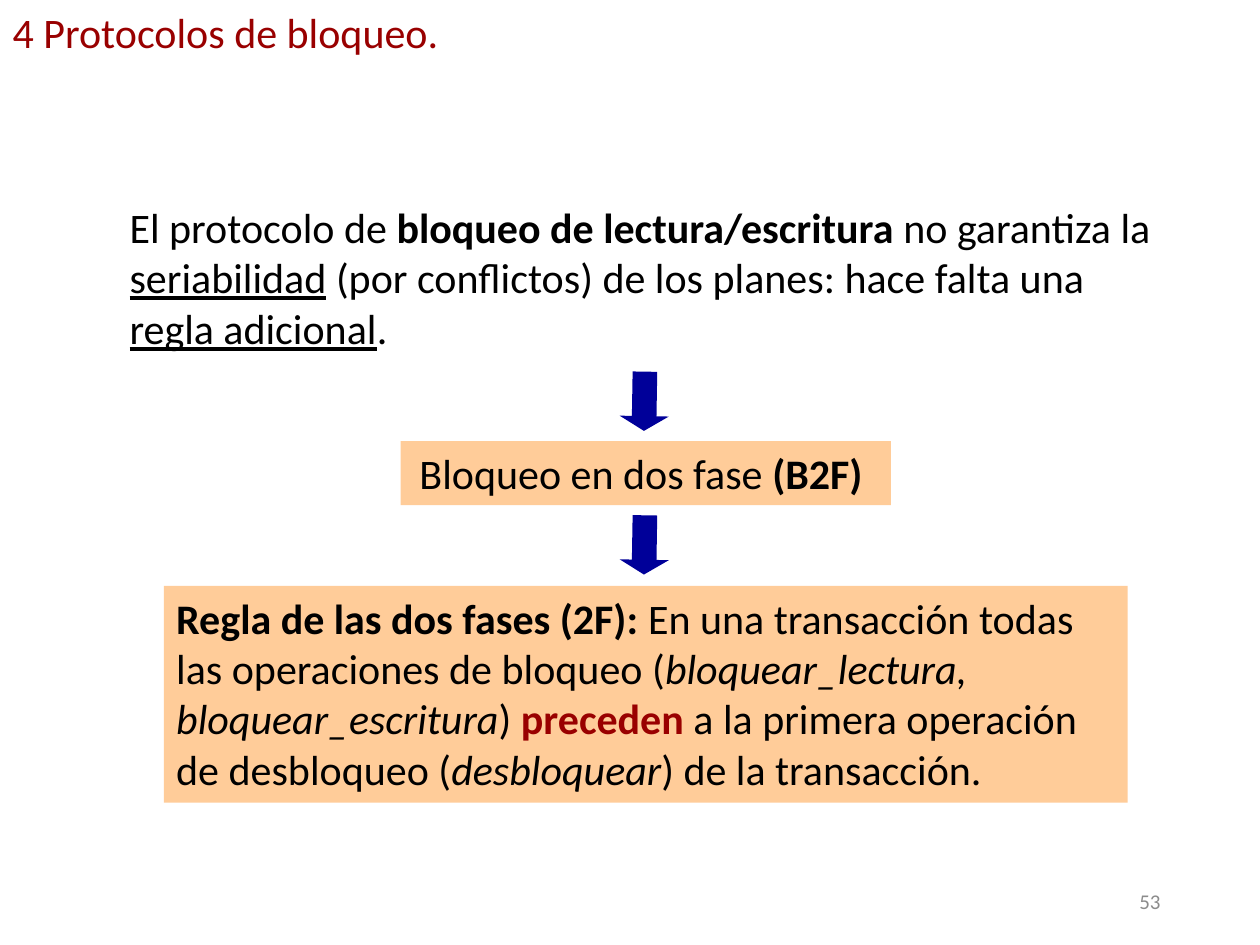
from pptx import Presentation
from pptx.dml.color import RGBColor
from pptx.enum.shapes import MSO_SHAPE as Kind
from pptx.enum.text import MSO_ANCHOR as Anchor, MSO_AUTO_SIZE as Auto, PP_ALIGN as Align
from pptx.util import Inches, Pt

INK = {"text": "000000", "red": "990000", "gray": "8C8C8C",
       "box": "FFCC99", "arrow": "000099"}


def paint(shape, name):
    shape.shadow.inherit = False
    shape.fill.solid()
    shape.fill.fore_color.rgb = RGBColor.from_string(INK[name])
    shape.line.fill.background()


def write(shape, parts, align=Align.LEFT, anchor=Anchor.TOP, size=24, ink="text"):
    """Fill a shape with (text, style) runs; style letters are b, i, u and r for red."""
    frame = shape.text_frame
    frame.auto_size = Auto.NONE
    frame.word_wrap = True
    frame.vertical_anchor = anchor
    par = frame.paragraphs[0]
    par.alignment = align
    par.space_before = Pt(0)
    for text, style in parts:
        run = par.add_run()
        run.text = text
        font = run.font
        font.name, font.size = "Calibri", Pt(size)
        font.bold, font.italic, font.underline = (c in style for c in "biu")
        font.color.rgb = RGBColor.from_string(INK["red" if "r" in style else ink])


deck = Presentation()
deck.slide_width, deck.slide_height = Inches(10), Inches(7.5)
slide = deck.slides.add_slide(deck.slide_layouts[5])
shapes = slide.shapes

title = shapes.title
title.left, title.top = Inches(0), Inches(0)
title.width, title.height = Inches(3.62), Inches(0.5)
write(title, [("4 Protocolos de bloqueo.", "r")])
title.text_frame.word_wrap = False

intro = shapes.add_textbox(Inches(0.93), Inches(1.55), Inches(8.39), Inches(1.31))
write(intro, [
    ("El protocolo de ", ""),
    ("bloqueo de lectura/escritura", "b"),
    (" no garantiza la ", ""),
    ("seriabilidad", "u"),
    (" (por conflictos) de los planes: hace falta una ", ""),
    ("regla adicional", "u"),
    (".", ""),
])

method = [("Bloqueo en dos fase ", ""), ("(B2F) ", "b")]
rule = [
    ("Regla de las dos fases (2F): ", "b"),
    ("En una transacción todas las operaciones de bloqueo (", ""),
    ("bloquear_lectura, bloquear_escritura", "i"),
    (") ", ""),
    ("preceden", "br"),
    (" a la primera operación de desbloqueo (", ""),
    ("desbloquear", "i"),
    (") de la transacción.", ""),
]
for left, top, width, height, parts, align in [
    (3.18, 3.5, 3.89, 0.51, method, Align.CENTER),
    (1.3, 4.65, 7.65, 1.72, rule, Align.LEFT),
]:
    box = shapes.add_shape(Kind.RECTANGLE, Inches(left), Inches(top),
                           Inches(width), Inches(height))
    paint(box, "box")
    write(box, parts, align)

for top in (2.95, 4.09):
    arrow = shapes.add_shape(Kind.DOWN_ARROW, Inches(4.92), Inches(top),
                             Inches(0.39), Inches(0.47))
    arrow.adjustments[0], arrow.adjustments[1] = 0.5, 0.3
    arrow.rotation = 1
    paint(arrow, "arrow")

number = shapes.add_textbox(Inches(7.06), Inches(6.95), Inches(2.25), Inches(0.4))
write(number, [("53", "")], Align.RIGHT, Anchor.MIDDLE, 12, "gray")

deck.save("out.pptx")
